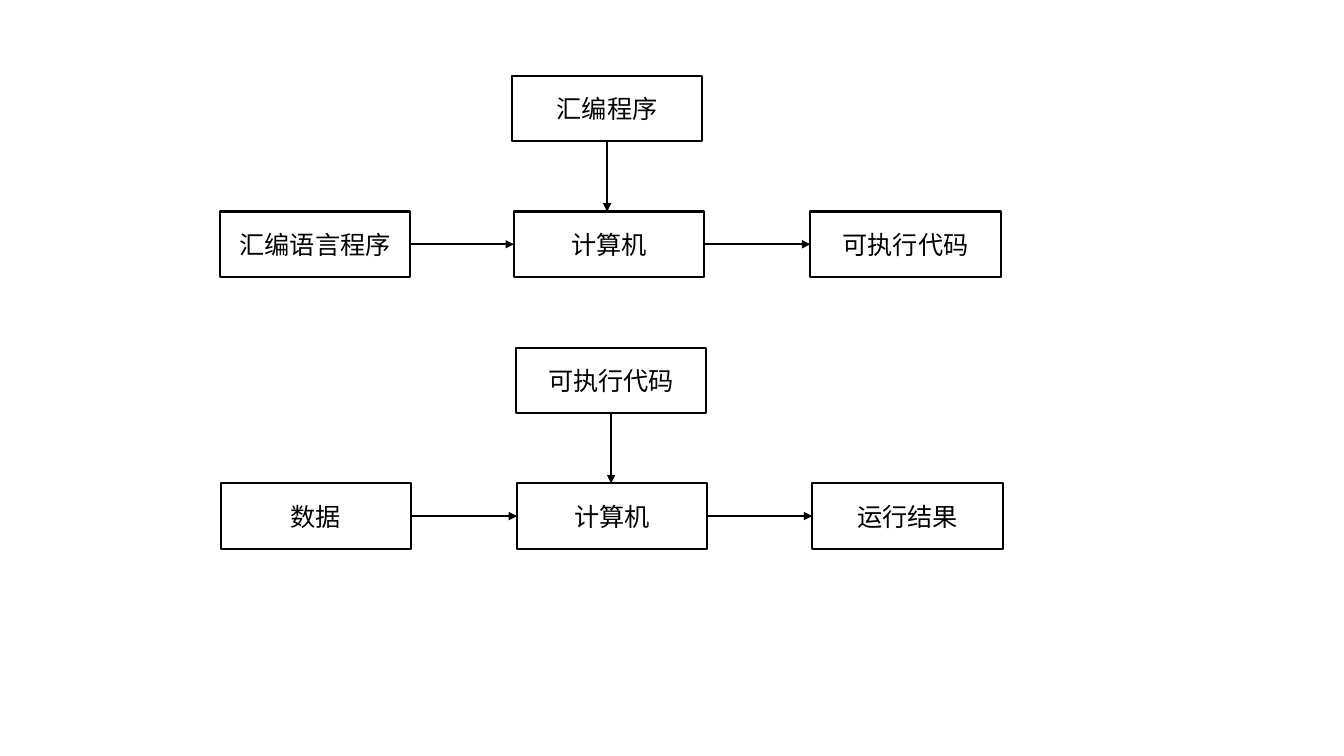
from lxml import etree
from pptx import Presentation
from pptx import util as u
from pptx.dml.color import RGBColor
from pptx.enum import shapes, text
from pptx.oxml.ns import qn

COLORS = {"ink": "000000"}
BOX_WIDTH, BOX_HEIGHT = u.Cm(4.8), u.Cm(1.65)
ROW_STEP = 3.42


class FlowSlide:
    font = "Noto Sans CJK SC"
    size = u.Pt(18)
    weight = u.Pt(1.5)
    ink = RGBColor.from_string(COLORS["ink"])

    def __init__(self, slide):
        self.slide = slide

    def outline(self, line):
        line.color.rgb = self.ink
        line.width = self.weight

    def box(self, label, left, top):
        step = self.slide.shapes.add_shape(
            shapes.MSO_SHAPE.RECTANGLE, u.Cm(left), u.Cm(top), BOX_WIDTH, BOX_HEIGHT)
        step.shadow.inherit = False
        step.fill.background()
        self.outline(step.line)
        frame = step.text_frame
        frame.word_wrap = True
        frame.vertical_anchor = text.MSO_ANCHOR.MIDDLE
        paragraph = frame.paragraphs[0]
        paragraph.alignment = text.PP_ALIGN.CENTER
        run = paragraph.add_run()
        run.text = label
        run.font.size = self.size
        run.font.name = self.font
        run.font.color.rgb = self.ink
        etree.SubElement(run.font._element, qn("a:ea"), typeface=self.font)
        return step

    def arrow(self, x1, y1, x2, y2):
        link = self.slide.shapes.add_connector(
            shapes.MSO_CONNECTOR.STRAIGHT, x1, y1, x2, y2)
        self.outline(link.line)
        etree.SubElement(link.line._get_or_add_ln(), qn("a:tailEnd"), type="triangle")
        etree.SubElement(link._element.spPr, qn("a:effectLst"))

    def arrow_down(self, upper, lower):
        x = upper.left + upper.width // 2
        self.arrow(x, upper.top + upper.height, x, lower.top)

    def arrow_right(self, before, after):
        y = before.top + before.height // 2
        self.arrow(before.left + before.width, y, after.left, y)

    def flow(self, top, program, stages):
        program_box = self.box(*program, top)
        source, computer, result = [
            self.box(label, left, top + ROW_STEP) for label, left in stages]
        self.arrow_down(program_box, computer)
        self.arrow_right(source, computer)
        self.arrow_right(computer, result)


deck = Presentation()
deck.slide_width, deck.slide_height = u.Cm(33.87), u.Cm(19.05)
page = FlowSlide(deck.slides.add_slide(deck.slide_layouts.get_by_name("Blank")))

page.flow(1.91, ("汇编程序", 12.9),
          [("汇编语言程序", 5.54), ("计算机", 12.95), ("可执行代码", 20.42)])
page.flow(8.76, ("可执行代码", 13.0),
          [("数据", 5.56), ("计算机", 13.03), ("运行结果", 20.47)])

deck.save("out.pptx")
